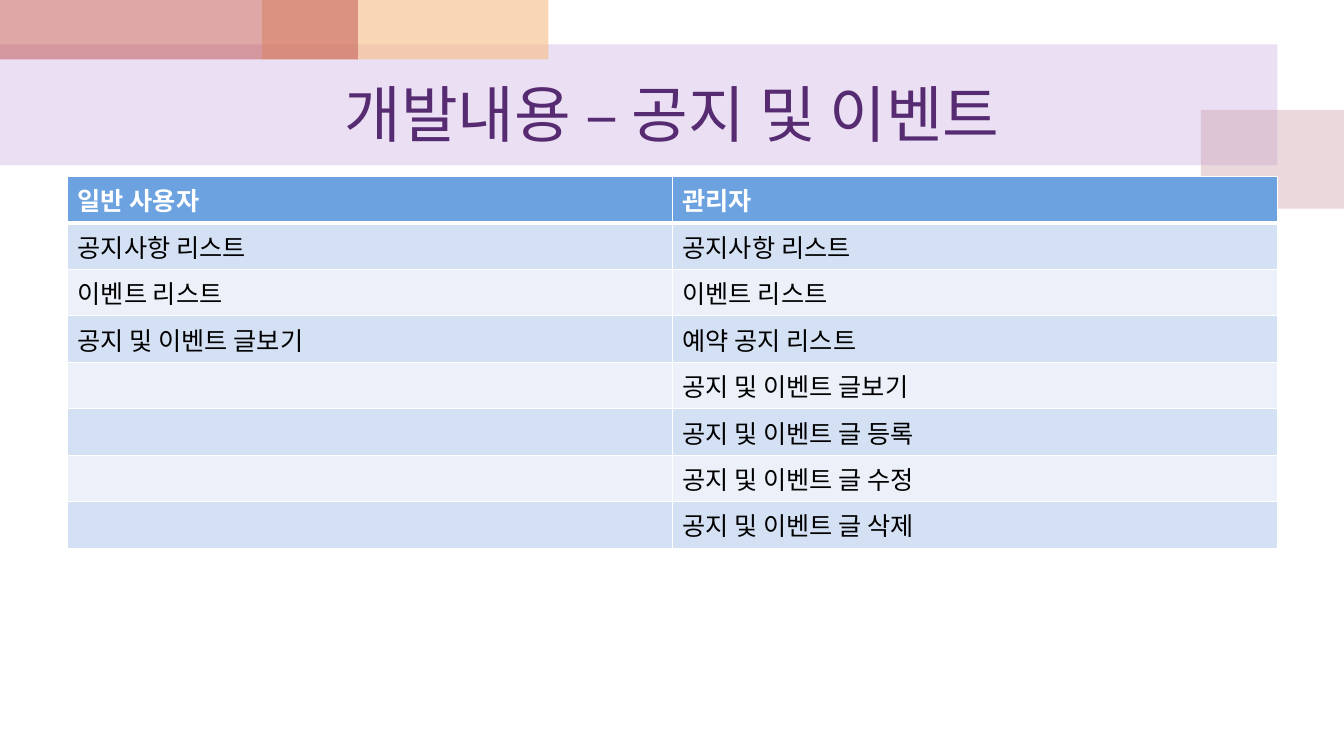
"""Build the notice and event slide with its table of user and manager features."""
import dataclasses

import lxml.etree
import pptx
import pptx.dml.color
import pptx.enum.shapes
import pptx.enum.text
import pptx.oxml.ns
import pptx.util

Inches = pptx.util.Inches
qn = pptx.oxml.ns.qn
FONT = "Cabin"
WHITE = "FFFFFF"


@dataclasses.dataclass(frozen=True)
class Block:
    left: float
    top: float
    width: float
    height: float
    fill: str
    alpha: int


BLOCKS = [
    Block(0, 0.44, 12.67, 1.2, "BF98D8", 30),
    Block(11.91, 1.09, 1.43, 0.98, "CC9EAC", 40),
    Block(2.6, 0, 2.84, 0.59, "F5BC83", 60),
    Block(0, 0, 3.55, 0.59, "C0504D", 50),
]
ROWS = [
    ("일반 사용자", "관리자"),
    ("공지사항 리스트", "공지사항 리스트"),
    ("이벤트 리스트", "이벤트 리스트"),
    ("공지 및 이벤트 글보기", "예약 공지 리스트"),
    ("", "공지 및 이벤트 글보기"),
    ("", "공지 및 이벤트 글 등록"),
    ("", "공지 및 이벤트 글 수정"),
    ("", "공지 및 이벤트 글 삭제"),
]
HEAD = "6BA2DF"
BANDS = ("EBF0F9", "D4E0F3")


def paint(fill, color: str) -> None:
    fill.solid()
    fill.fore_color.rgb = pptx.dml.color.RGBColor.from_string(color)


def write(para, text: str, size: int, color: str, bold: bool = False) -> None:
    run = para.add_run()
    run.text = text
    font = run.font
    font.size = pptx.util.Pt(size)
    font.bold = bold
    font.name = FONT
    paint(font.fill, color)


def add_block(slide, block: Block) -> None:
    shape = slide.shapes.add_shape(
        pptx.enum.shapes.MSO_SHAPE.RECTANGLE,
        Inches(block.left), Inches(block.top),
        Inches(block.width), Inches(block.height),
    )
    shape.shadow.inherit = False
    shape.line.fill.background()
    paint(shape.fill, block.fill)
    color = shape._element.spPr.find(qn("a:solidFill"))[0]
    lxml.etree.SubElement(color, qn("a:alpha"), val=str(block.alpha * 1000))


def add_title(slide, text: str) -> None:
    box = slide.shapes.add_textbox(Inches(0.67), Inches(0.59), Inches(12), Inches(1.05))
    frame = box.text_frame
    frame.word_wrap = True
    frame.vertical_anchor = pptx.enum.text.MSO_ANCHOR.MIDDLE
    para = frame.paragraphs[0]
    para.alignment = pptx.enum.text.PP_ALIGN.CENTER
    write(para, text, 44, "562B71")


def add_edges(cell, row: int) -> None:
    props = cell._tc.get_or_add_tcPr()
    widths = {"L": 1, "R": 1, "T": 3 if row == 1 else 1, "B": 3 if row == 0 else 1}
    for side, width in widths.items():
        line = lxml.etree.SubElement(props, qn(f"a:ln{side}"), w=str(pptx.util.Pt(width)))
        fill = lxml.etree.SubElement(line, qn("a:solidFill"))
        lxml.etree.SubElement(fill, qn("a:srgbClr"), val=WHITE)


def add_grid(slide, rows: list[tuple[str, str]]) -> None:
    table = slide.shapes.add_table(
        len(rows), 2, Inches(0.67), Inches(1.75), Inches(12), Inches(3.69)
    ).table
    for row, texts in enumerate(rows):
        head = row == 0
        for col, text in enumerate(texts):
            cell = table.cell(row, col)
            add_edges(cell, row)
            paint(cell.fill, HEAD if head else BANDS[row % 2])
            para = cell.text_frame.paragraphs[0]
            if text:
                write(para, text, 18, WHITE if head else "000000", head)
            else:
                para.font.size = pptx.util.Pt(18)


def main() -> None:
    deck = pptx.Presentation()
    deck.slide_width = Inches(13.33)
    deck.slide_height = Inches(7.5)
    slide = deck.slides.add_slide(deck.slide_layouts[6])
    for block in BLOCKS:
        add_block(slide, block)
    add_title(slide, "개발내용 – 공지 및 이벤트")
    add_grid(slide, ROWS)
    deck.save("out.pptx")


if __name__ == "__main__":
    main()
